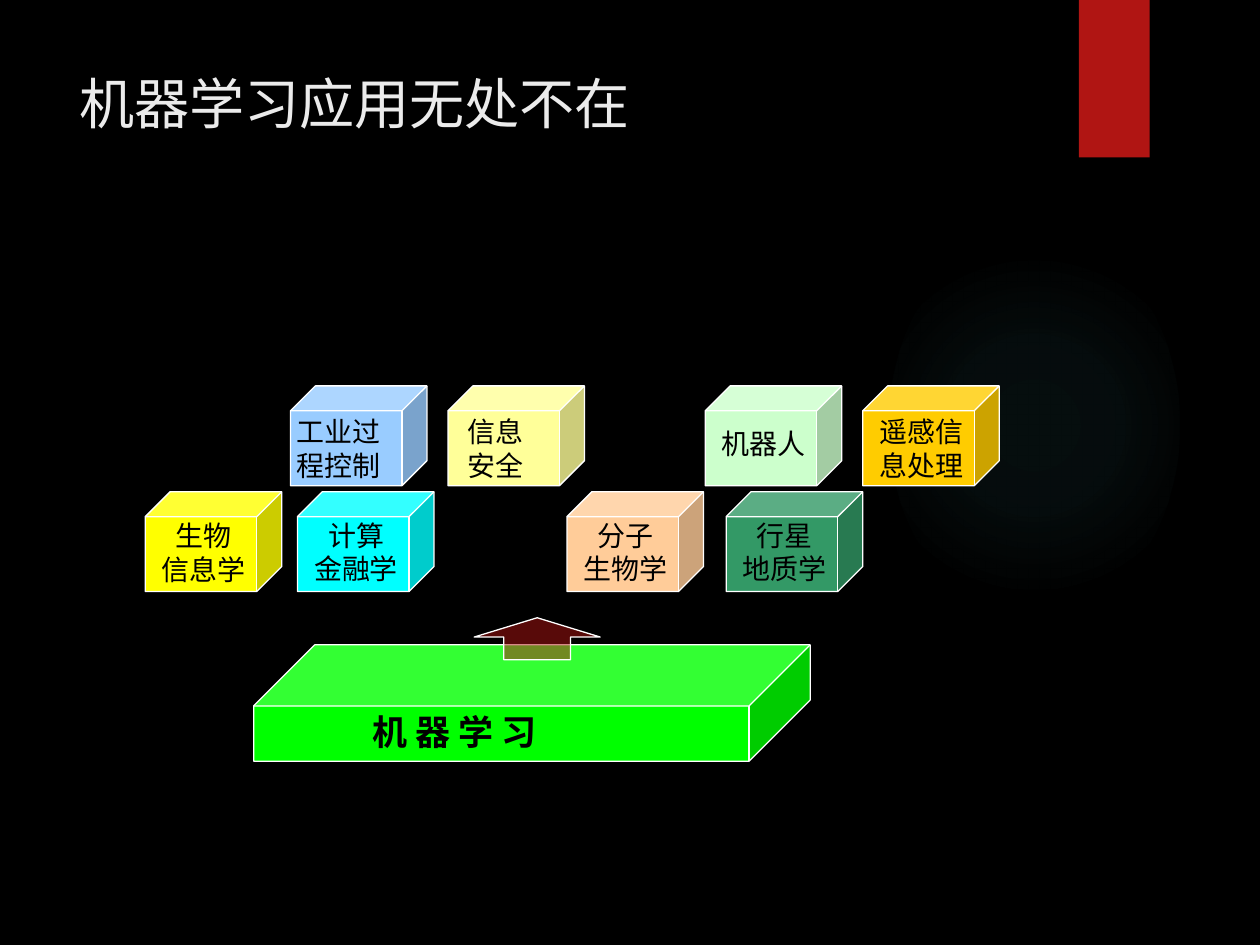
from lxml import etree
from pptx import Presentation
from pptx.dml.color import RGBColor
from pptx.enum import lang, shapes, text
from pptx.oxml import parse_xml
from pptx.oxml.ns import nsdecls, qn
from pptx.util import Pt

BLACK = RGBColor(0x00, 0x00, 0x00)
WHITE = RGBColor(0xFF, 0xFF, 0xFF)
TITLE_GREY = RGBColor(0xEB, 0xEB, 0xEB)
RED = RGBColor(0xB0, 0x15, 0x13)
TEAL = RGBColor(0x50, 0xB9, 0xC1)
GREEN = RGBColor(0x00, 0xFF, 0x00)
YELLOW = RGBColor(0xFF, 0xFF, 0x00)
CYAN = RGBColor(0x00, 0xFF, 0xFF)
PEACH = RGBColor(0xFF, 0xCC, 0x99)
DARK_GREEN = RGBColor(0x33, 0x99, 0x66)
LIGHT_BLUE = RGBColor(0x99, 0xCC, 0xFF)
PALE_YELLOW = RGBColor(0xFF, 0xFF, 0x99)
PALE_GREEN = RGBColor(0xCC, 0xFF, 0xCC)
GOLD = RGBColor(0xFF, 0xCC, 0x00)

CHINESE_FONT = "Noto Sans CJK SC"
LATIN_FONT = "Karla"
CUBE_WIDTH, CUBE_HEIGHT = 78, 57
UPPER_ROW, LOWER_ROW = 220.5, 281

CENTER, LEFT = text.PP_ALIGN.CENTER, text.PP_ALIGN.LEFT
CENTERED_LABEL = (-8.5, 84, CENTER)

# text lines, cube left, cube top, colour, label drop, (label shift, width, alignment)
FIELDS = [
    (["生物", "信息学"], 83, LOWER_ROW, YELLOW, 12, CENTERED_LABEL),
    (["计算", "金融学"], 170, LOWER_ROW, CYAN, 11.5, CENTERED_LABEL),
    (["分子", "生物学"], 324, LOWER_ROW, PEACH, 11.5, CENTERED_LABEL),
    (["行星", "地质学"], 415, LOWER_ROW, DARK_GREEN, 11.5, CENTERED_LABEL),
    (["工业过程控制"], 166, UPPER_ROW, LIGHT_BLUE, 13, (-3.5, 72, LEFT)),
    (["信息安全"], 256, UPPER_ROW, PALE_YELLOW, 13, (4, 58, LEFT)),
    (["机器人"], 403, UPPER_ROW, PALE_GREEN, 19.5, CENTERED_LABEL),
    (["遥感信", "息处理"], 493, UPPER_ROW, GOLD, 13, CENTERED_LABEL),
]


def format_paragraph(paragraph, size, color, latin_font, alignment, bold=False):
    paragraph.alignment = alignment
    font = paragraph.font
    font.size, font.bold, font.name = Pt(size), bold, latin_font
    font.color.rgb = color
    font.language_id = lang.MSO_LANGUAGE_ID.SIMPLIFIED_CHINESE
    properties = paragraph._p.get_or_add_pPr().find(qn("a:defRPr"))
    etree.SubElement(properties, qn("a:ea")).set("typeface", CHINESE_FONT)


def add_block(slide, kind, left, top, width, height, color, outlined=True):
    block = slide.shapes.add_shape(kind, Pt(left), Pt(top), Pt(width), Pt(height))
    block.shadow.inherit = False
    block.fill.solid()
    block.fill.fore_color.rgb = color
    if outlined:
        block.line.color.rgb = WHITE
        block.line.width = Pt(0.75)
    else:
        block.line.fill.background()
    return block


def add_cube(slide, left, top, width, height, color, depth=0.25):
    cube = add_block(slide, shapes.MSO_SHAPE.CUBE, left, top, width, height, color)
    cube.adjustments[0] = depth


def add_label(slide, lines, left, top, width, height, alignment,
              size=16, latin_font=LATIN_FONT, bold=False):
    label = slide.shapes.add_textbox(Pt(left), Pt(top), Pt(width), Pt(height))
    frame = label.text_frame
    frame.word_wrap = True
    frame.auto_size = text.MSO_AUTO_SIZE.SHAPE_TO_FIT_TEXT
    frame.text = "\n".join(lines)
    for paragraph in frame.paragraphs:
        format_paragraph(paragraph, size, BLACK, latin_font, alignment, bold)


def add_glow(slide):
    """Add the faint ellipse that fades out from its centre."""
    glow = add_block(slide, shapes.MSO_SHAPE.OVAL, 508, 132, 166, 222, TEAL, outlined=False)
    stops = "".join(
        f'<a:gs pos="{position}000"><a:srgbClr val="{TEAL}">'
        f'<a:alpha val="{opacity}000"/></a:srgbClr></a:gs>'
        for position, opacity in ((0, 7), (36, 6), (69, 0)))
    gradient = parse_xml(
        f'<a:gradFill {nsdecls("a")}><a:gsLst>{stops}</a:gsLst><a:path path="circle">'
        '<a:fillToRect l="50000" t="50000" r="50000" b="50000"/></a:path></a:gradFill>')
    properties = glow._element.spPr
    properties.replace(properties.find(qn("a:solidFill")), gradient)


def add_title(slide, words):
    title = slide.shapes.title
    title.left, title.top, title.width, title.height = Pt(38), Pt(36), Pt(555), Pt(110)
    frame = title.text_frame
    frame.text = words
    frame.word_wrap = True
    frame.auto_size = text.MSO_AUTO_SIZE.NONE
    frame.vertical_anchor = text.MSO_ANCHOR.TOP
    format_paragraph(frame.paragraphs[0], 31.5, TITLE_GREY, CHINESE_FONT, LEFT)


def add_field(slide, lines, left, top, color, drop, label_layout):
    shift, label_width, alignment = label_layout
    label_height = 27 if lines == ["机器人"] else 46
    add_cube(slide, left, top, CUBE_WIDTH, CUBE_HEIGHT, color)
    add_label(slide, lines, left + shift, top + drop, label_width, label_height, alignment)


def add_arrow(slide):
    arrow = add_block(slide, shapes.MSO_SHAPE.UP_ARROW, 271, 353, 72, 24, RED)
    arrow.adjustments[0], arrow.adjustments[1] = 0.53, 0.46
    color = arrow._element.spPr.find(qn("a:solidFill")).find(qn("a:srgbClr"))
    etree.SubElement(color, qn("a:alpha")).set("val", "50000")


def main():
    presentation = Presentation()
    presentation.slide_width, presentation.slide_height = Pt(720), Pt(540)
    slide = presentation.slides.add_slide(presentation.slide_layouts[5])
    slide.background.fill.solid()
    slide.background.fill.fore_color.rgb = BLACK

    add_glow(slide)
    add_block(slide, shapes.MSO_SHAPE.RECTANGLE, 616.5, 0, 40.5, 90, RED, outlined=False)
    add_title(slide, "机器学习应用无处不在")
    for field in FIELDS:
        add_field(slide, *field)
    add_cube(slide, 145, 368.5, 318, 66.5, GREEN, depth=0.525)
    add_arrow(slide)
    add_label(slide, ["机 器 学 习"], 206, 402.5, 168, 31, LEFT,
              size=20, latin_font=CHINESE_FONT, bold=True)

    presentation.save("out.pptx")


if __name__ == "__main__":
    main()
